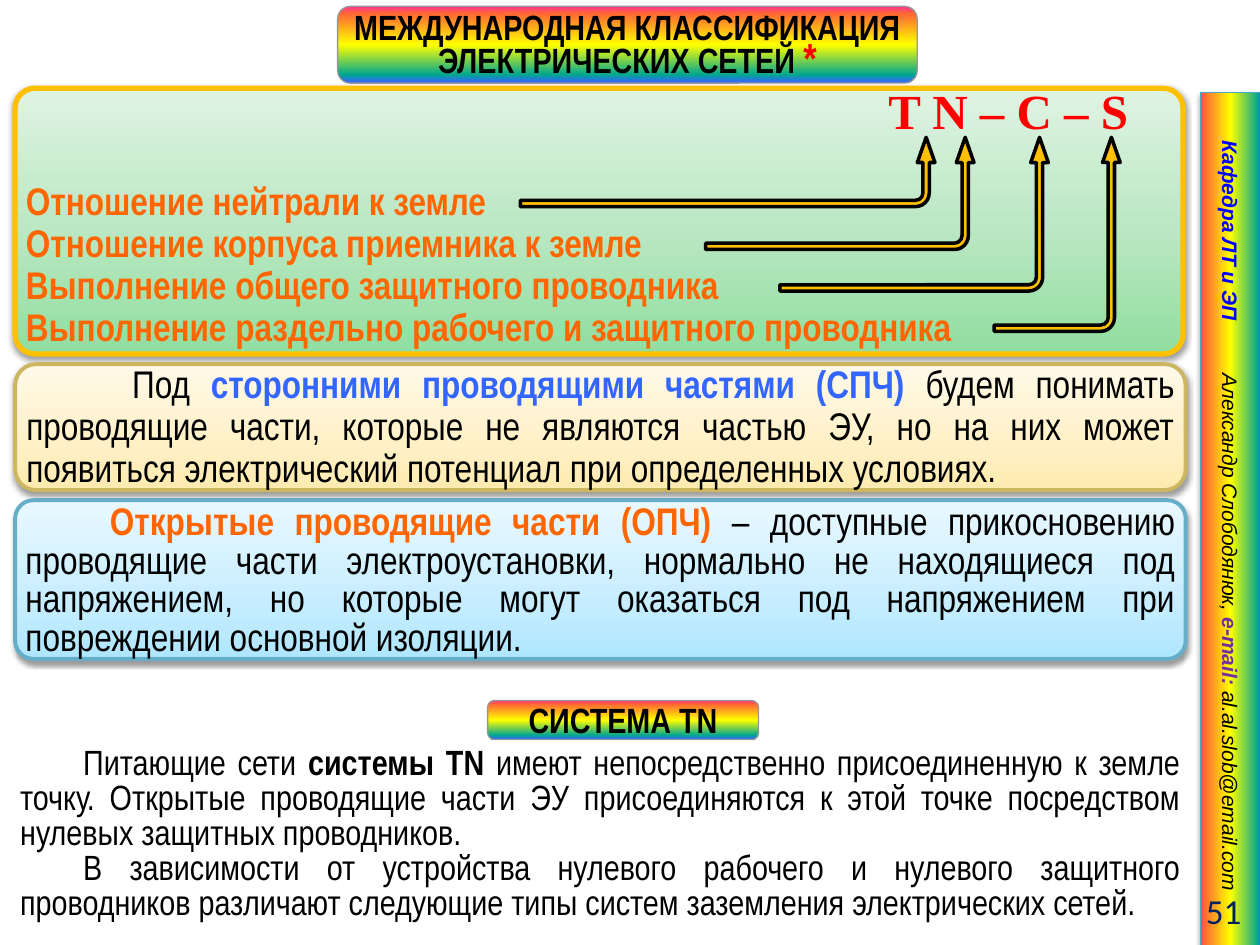
from lxml.etree import SubElement
from pptx import Presentation
from pptx.dml.color import RGBColor
from pptx.enum.shapes import MSO_SHAPE
from pptx.enum.text import MSO_ANCHOR, PP_ALIGN
from pptx.oxml.ns import qn
from pptx.util import Inches, Pt

NARROW = "Arial Narrow"
BLACK, ORANGE, RED = "000000", "FF6600", "FF0000"
LEFT, CENTER, RIGHT, JUSTIFY = PP_ALIGN.LEFT, PP_ALIGN.CENTER, PP_ALIGN.RIGHT, PP_ALIGN.JUSTIFY
PANEL_LEFT, PANEL_WIDTH = 0.12, 9.29
EVEN_INSETS = (0.04, 0.04, 0.04, 0.04)
FLAT_INSETS = (0.04, 0.04, 0.04, 0)

RAINBOW = [(0, "FF3399"), (9, "FF6633"), (50, "FFFF00"), (89, "01A78F"), (99, "3366FF")]
SIDE_RAINBOW = [(0, "FF3399"), (6, "FF6633"), (50, "FFFF00"), (96, "01A78F"), (100, "3366FF")]
GREEN = [(0, "91DEA0"), (50, "BDE8C5"), (100, "DFF3E3")]
CREAM = [(0, "FFEBAF"), (35, "FFF0C6"), (100, "FFF9E9")]
SKY = [(0, "AEE6FF"), (35, "C6EDFF"), (100, "E9F8FF")]

SIDEBAR = [
    ("Кафедра ЛТ и ЭП\t", "0000FF", True),
    ("Александр Слободянюк, ", BLACK, False),
    ("e-mail: ", "7030A0", True),
    ("al.al.slob@email.com", BLACK, False),
]
SYSTEM_CODE = [("T N – C – S", RED, True)]
LABELS = [
    "Отношение нейтрали к земле",
    "Отношение корпуса приемника к земле",
    "Выполнение общего защитного проводника",
    "Выполнение раздельно рабочего и защитного проводника",
]
EXTRANEOUS = [
    ("Под ", BLACK, False),
    ("сторонними проводящими частями (СПЧ) ", "3366FF", True),
    ("будем понимать проводящие части, которые не являются частью ЭУ, но на них может "
     "появиться электрический потенциал при определенных условиях.", BLACK, False),
]
EXPOSED = [
    ("Открытые проводящие части (ОПЧ) ", ORANGE, True),
    ("– доступные прикосновению проводящие части электроустановки, нормально не находящиеся "
     "под напряжением, но которые могут оказаться под напряжением при повреждении основной "
     "изоляции.", BLACK, False),
]
SYSTEM_TN = [
    [("Питающие сети ", BLACK, False),
     ("системы TN ", BLACK, True),
     ("имеют непосредственно присоединенную к земле точку. Открытые проводящие части ЭУ "
      "присоединяются к этой точке посредством нулевых защитных проводников.", BLACK, False)],
    [("В зависимости от устройства нулевого рабочего и нулевого защитного проводников "
      "различают следующие типы систем заземления электрических сетей.", BLACK, False)],
]
TITLE = [("МЕЖДУНАРОДНАЯ КЛАССИФИКАЦИЯ ЭЛЕКТРИЧЕСКИХ СЕТЕЙ ", BLACK, True), ("*", RED, True)]

ARROW_TOP = 1.09
SHAFT, HALF_HEAD, HEAD_LENGTH, BEND = 0.05, 0.07, 0.2, 0.11
ARROWS = [(7.89, 1, 1.54), (6.19, 2.13, 1.22), (5.6, 2.13, 0.89), (4.13, 3.29, 0.55)]

presentation = Presentation()
presentation.slide_width, presentation.slide_height = Inches(10), Inches(7.5)
slide = presentation.slides.add_slide(presentation.slide_layouts[6])


def color(value):
    return RGBColor.from_string(value)


def set_gradient(shape, stops, angle):
    shape.fill.gradient()
    gradient = shape._element.spPr.find(qn("a:gradFill"))
    for child in list(gradient):
        gradient.remove(child)
    stop_list = SubElement(gradient, qn("a:gsLst"))
    for position, value in stops:
        stop = SubElement(stop_list, qn("a:gs"), pos=str(position * 1000))
        SubElement(stop, qn("a:srgbClr"), val=value)
    SubElement(gradient, qn("a:lin"), ang=str(angle * 60000), scaled="0")


def add_shadow(shape):
    effects = shape._element.spPr.find(qn("a:effectLst"))
    shadow = SubElement(effects, qn("a:outerShdw"), blurRad=str(Pt(3.1)), dist=str(Pt(1.6)),
                        dir="5400000", rotWithShape="0")
    tint = SubElement(shadow, qn("a:srgbClr"), val=BLACK)
    SubElement(tint, qn("a:alpha"), val="38000")


def add_panel(kind, box, stops, angle, line, line_width, corner=None, shadow=True):
    shape = slide.shapes.add_shape(kind, *map(Inches, box))
    shape.shadow.inherit = False
    set_gradient(shape, stops, angle)
    shape.line.color.rgb = color(line)
    shape.line.width = Pt(line_width)
    if corner:
        shape.adjustments[0] = corner
    if shadow:
        add_shadow(shape)
    return shape


def set_frame(shape, insets):
    frame = shape.text_frame
    frame.word_wrap = True
    frame.vertical_anchor = MSO_ANCHOR.MIDDLE
    frame.margin_left, frame.margin_top, frame.margin_right, frame.margin_bottom = map(Inches, insets)
    return frame


def write(paragraph, runs, size, font=NARROW, align=LEFT, spacing=None, indent=0, italic=False):
    paragraph.alignment = align
    if spacing:
        paragraph.line_spacing = Pt(spacing)
    if indent:
        paragraph._p.get_or_add_pPr().set("indent", str(Inches(indent)))
    for text, value, bold in runs:
        run = paragraph.add_run()
        run.text = text
        run.font.size, run.font.name = Pt(size), font
        run.font.bold, run.font.italic = bold, italic
        run.font.color.rgb = color(value)


def add_heading(box, runs):
    heading = add_panel(MSO_SHAPE.ROUNDED_RECTANGLE, box, RAINBOW, 90, "969696", 0.75, shadow=False)
    paragraph = set_frame(heading, FLAT_INSETS).paragraphs[0]
    write(paragraph, runs, 20, align=CENTER, spacing=20)
    return paragraph


def add_bent_arrow(left, width, height):
    x = left + (width - height) / 2
    y = ARROW_TOP + (height - width) / 2
    arrow = slide.shapes.add_shape(MSO_SHAPE.BENT_ARROW, *map(Inches, (x, y, height, width)))
    arrow.shadow.inherit = False
    arrow.rotation = 270
    arrow._element.spPr.xfrm.set("flipV", "1")
    for index, length in enumerate((SHAFT, HALF_HEAD, HEAD_LENGTH, BEND)):
        arrow.adjustments[index] = length / min(width, height)
    arrow.fill.solid()
    arrow.fill.fore_color.rgb = color("FFC000")
    arrow.line.color.rgb = color(BLACK)
    arrow.line.width = Pt(2)


sidebar = add_panel(MSO_SHAPE.RECTANGLE, (6.38, 3.88, 6.77, 0.48), SIDE_RAINBOW, 270, "46AAC5", 0.75)
sidebar.rotation = 90
paragraph = set_frame(sidebar, (0.38, 0.05, 0, 0.05)).paragraphs[0]
tabs = SubElement(paragraph._p.get_or_add_pPr(), qn("a:tabLst"))
SubElement(tabs, qn("a:tab"), pos=str(Inches(1.85)), algn="l")
write(paragraph, SIDEBAR, 12, "Arial", italic=True)

number = slide.shapes.add_textbox(*map(Inches, (8.86, 7.03, 1.09, 0.4)))
write(set_frame(number, (0.1, 0.05, 0.1, 0.05)).paragraphs[0],
      [("51", "002060", False)], 20, "Calibri", RIGHT)

code_panel = add_panel(MSO_SHAPE.ROUNDED_RECTANGLE, (PANEL_LEFT, 0.7, 9.27, 2.11),
                       GREEN, 270, "FFC000", 3, 0.075)
frame = set_frame(code_panel, (0.04, 0.04, 0.39, 0))
write(frame.paragraphs[0], SYSTEM_CODE, 28, "Times New Roman", RIGHT, 24)
for index, label in enumerate(LABELS):
    paragraph = frame.add_paragraph()
    write(paragraph, [(label, ORANGE, True)], 22, spacing=24)
    if index == 0:
        paragraph.space_before = Pt(24)

for arrow_box in ARROWS:
    add_bent_arrow(*arrow_box)

for top, height, stops, line, corner, insets, runs, spacing, indent in [
    (2.89, 1, CREAM, "CCB661", None, EVEN_INSETS, EXTRANEOUS, 24, 0.84),
    (3.97, 1.26, SKY, "66AEC7", 0.115, FLAT_INSETS, EXPOSED, 22, 0.67),
]:
    panel = add_panel(MSO_SHAPE.ROUNDED_RECTANGLE, (PANEL_LEFT, top, PANEL_WIDTH, height),
                      stops, 270, line, 2.25, corner)
    write(set_frame(panel, insets).paragraphs[0], runs, 22, align=JUSTIFY, spacing=spacing, indent=indent)

add_heading((3.87, 5.56, 2.15, 0.31), [("СИСТЕМА TN", BLACK, True)])

body = slide.shapes.add_textbox(*map(Inches, (PANEL_LEFT, 5.89, PANEL_WIDTH, 1.48)))
frame = set_frame(body, EVEN_INSETS)
for index, runs in enumerate(SYSTEM_TN):
    paragraph = frame.add_paragraph() if index else frame.paragraphs[0]
    write(paragraph, runs, 20, align=JUSTIFY, spacing=20, indent=0.5)

title = add_heading((2.68, 0.05, 4.6, 0.61), TITLE)
title.runs[-1].font.size = Pt(24)

presentation.save("out.pptx")
